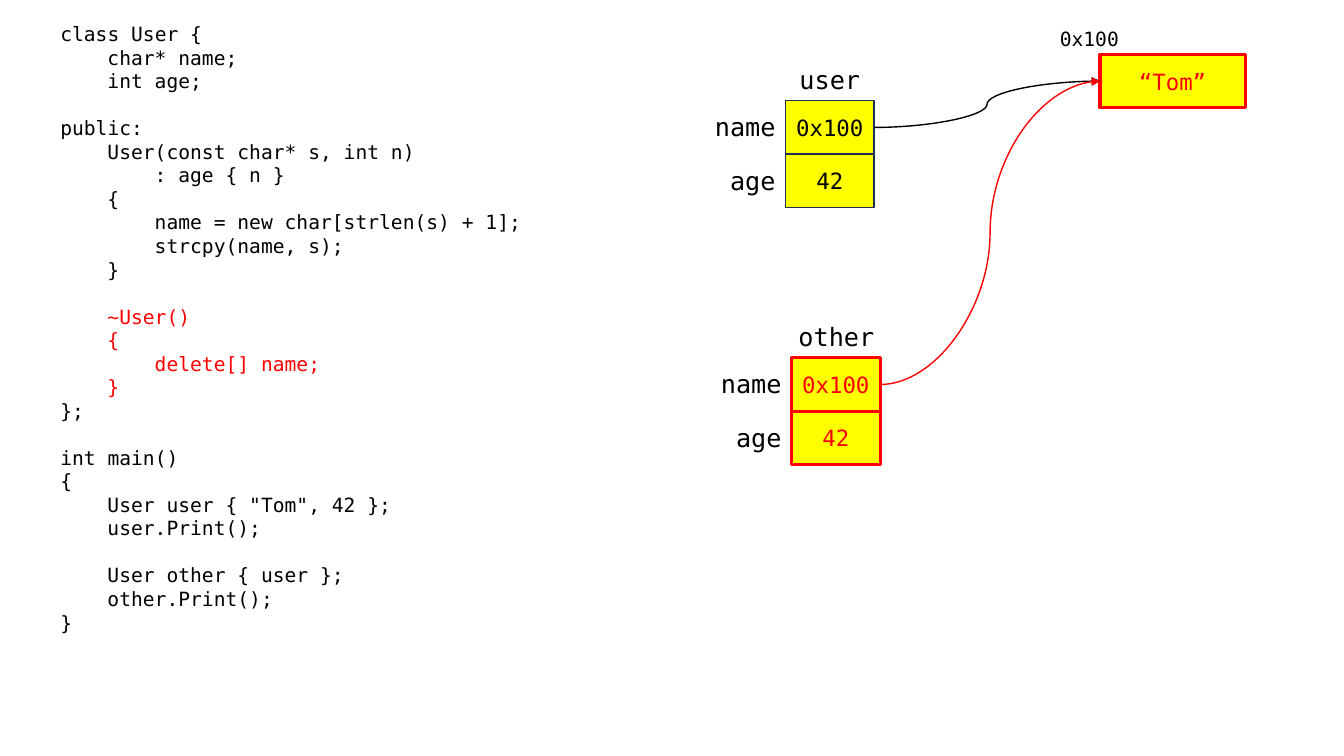
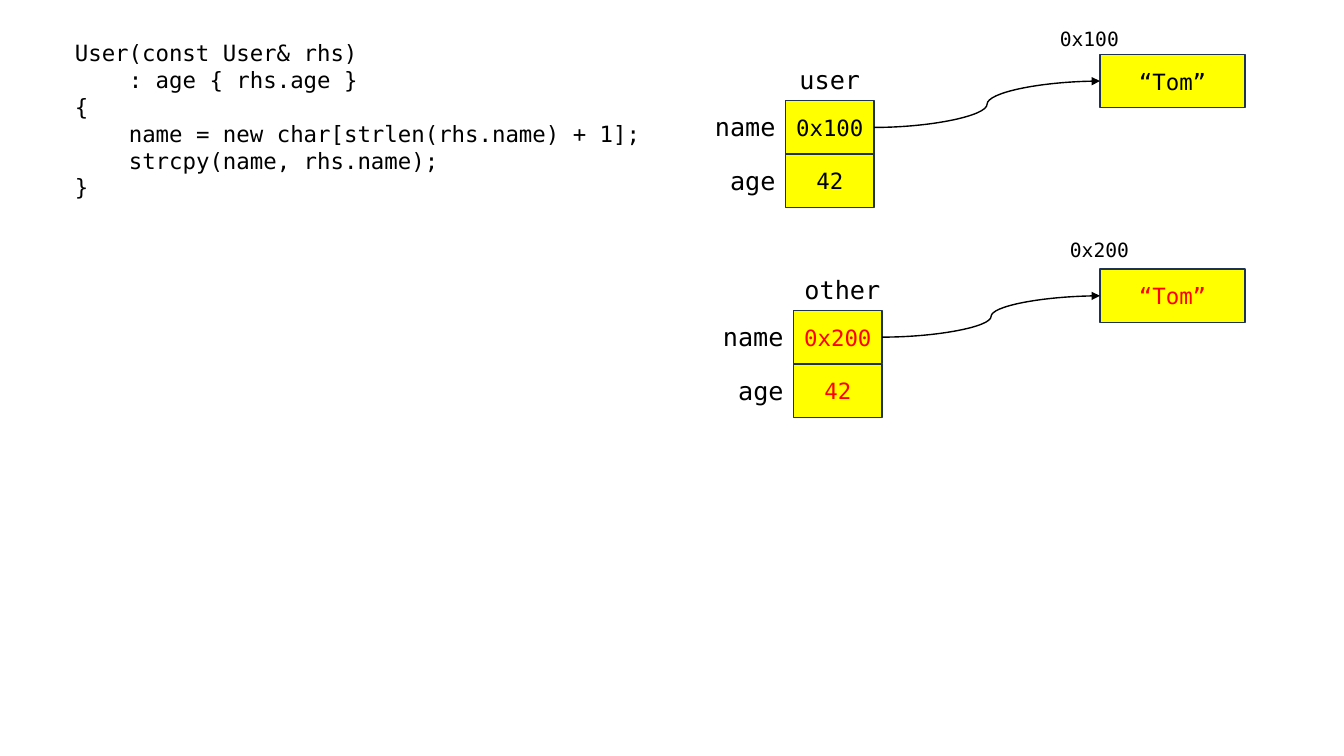
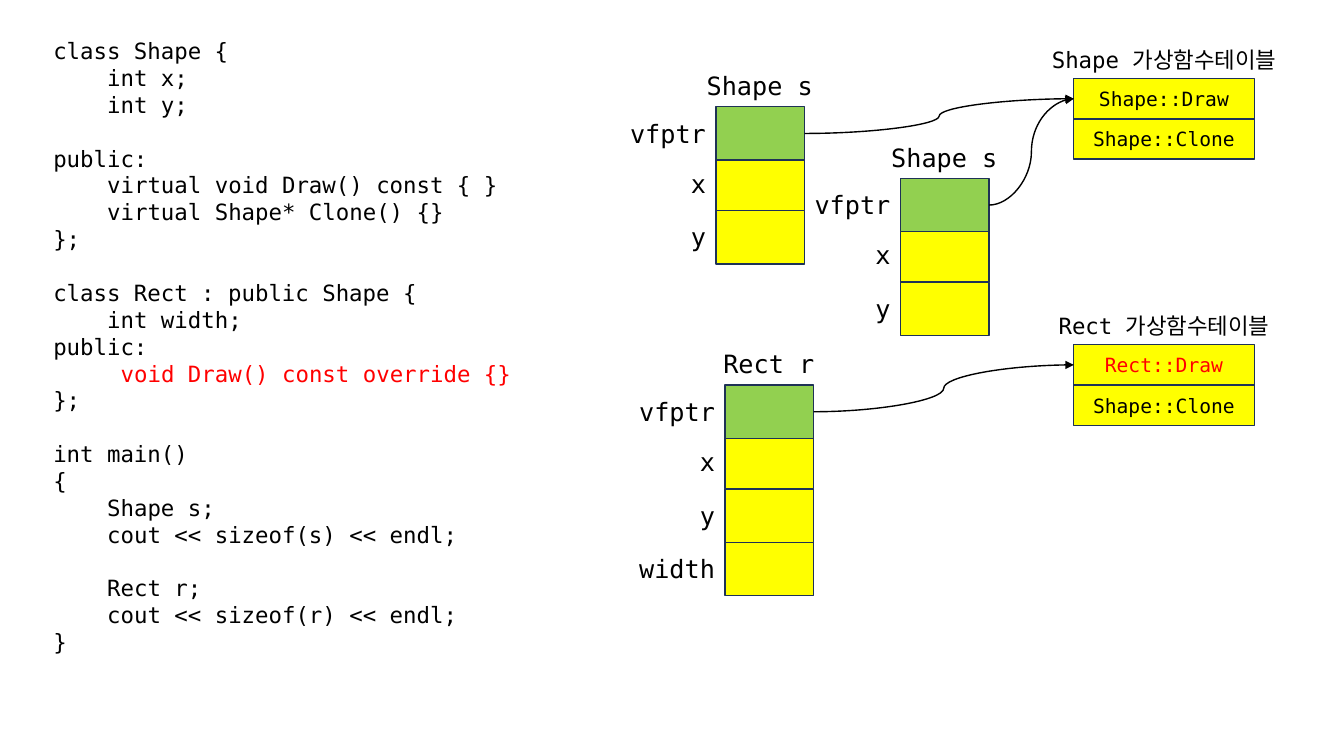
from dataclasses import dataclass
from typing import Optional

from lxml.etree import SubElement
from pptx import Presentation
from pptx.dml.color import RGBColor
from pptx.enum.shapes import MSO_CONNECTOR, MSO_SHAPE
from pptx.enum.text import MSO_ANCHOR, MSO_AUTO_SIZE, PP_ALIGN
from pptx.oxml.ns import qn
from pptx.shapes.autoshape import Shape
from pptx.slide import Slide
from pptx.util import Inches, Pt


@dataclass(frozen=True)
class Theme:
    """Colours, type sizes and line widths shared by the slides."""
    font: str = "DejaVu Sans Mono"
    black: RGBColor = RGBColor(0, 0, 0)
    red: RGBColor = RGBColor(255, 0, 0)
    yellow: RGBColor = RGBColor(255, 255, 0)
    green: RGBColor = RGBColor(0x92, 0xD0, 0x50)
    navy: RGBColor = RGBColor(0x1E, 0x32, 0x56)
    small: int = 14
    medium: int = 16
    large: int = 18
    thin: float = 1
    thick: float = 2.25
    character_width: float = 0.602
    line_height: float = 1.2


THEME = Theme()


@dataclass(frozen=True)
class Caption:
    """Text above a stack, placed relative to the stack's top left corner."""
    text: str
    width: float
    shift: float = 0
    rise: float = 0.41
    size: int = THEME.large


@dataclass(frozen=True)
class Cell:
    """One memory cell, with an optional label on its left."""
    text: str = ""
    label: str = ""
    label_width: float = 1.46
    color: RGBColor = THEME.black
    fill: RGBColor = THEME.yellow
    size: int = THEME.medium


@dataclass(frozen=True)
class Stack:
    """A column of memory cells under a caption."""
    caption: Caption
    left: float
    top: float
    cells: tuple[Cell, ...]
    width: float = 0.88
    height: float = 0.53
    first_overlap: float = 0
    outlined: bool = False


@dataclass(frozen=True)
class Snippet:
    """A code listing; highlight holds the numbers of its red lines."""
    left: float
    top: float
    width: float
    height: float
    size: int
    code: str
    highlight: range = range(0)


def add_span(para, text: str, size: int, color: RGBColor) -> None:
    """Add one formatted run to a paragraph."""
    span = para.add_run()
    span.text = text
    span.font.name = THEME.font
    span.font.size = Pt(size)
    span.font.color.rgb = color
    SubElement(span.font._element, qn("a:ea"), typeface=THEME.font)


def add_text_box(page: Slide, left: float, top: float, width: float, height: float) -> Shape:
    """Add an empty wrapping text box that grows with its text."""
    box = page.shapes.add_textbox(Inches(left), Inches(top), Inches(width), Inches(height))
    box.text_frame.word_wrap = True
    box.text_frame.auto_size = MSO_AUTO_SIZE.SHAPE_TO_FIT_TEXT
    return box


def add_label(page: Slide, text: str, left: float, top: float, width: float,
              size: int, align: PP_ALIGN) -> None:
    """Add a one-line black label."""
    box = add_text_box(page, left, top, width, 0.1 + size / 60)
    para = box.text_frame.paragraphs[0]
    para.alignment = align
    add_span(para, text, size, THEME.black)


def add_snippet(page: Slide, snippet: Snippet) -> None:
    """Draw code, turning leading spaces into indents and blank lines into spacing."""
    box = add_text_box(page, snippet.left, snippet.top, snippet.width, snippet.height)
    line_height = snippet.size * THEME.line_height
    para = box.text_frame.paragraphs[0]
    gap = 0
    for number, line in enumerate(snippet.code.strip("\n").split("\n")):
        text = line.lstrip()
        if not text:
            gap += line_height
            continue
        if number:
            para = box.text_frame.add_paragraph()
        indent = (len(line) - len(text)) * snippet.size * THEME.character_width
        para._p.get_or_add_pPr().set("marL", str(Pt(indent)))
        para.line_spacing = Pt(line_height)
        para.space_before = Pt(gap)
        gap = 0
        color = THEME.red if number in snippet.highlight else THEME.black
        add_span(para, text, snippet.size, color)


def add_cell(page: Slide, stack: Stack, cell: Cell, top: float) -> Shape:
    """Draw one cell of a stack and its label."""
    box = page.shapes.add_shape(MSO_SHAPE.RECTANGLE, Inches(stack.left), Inches(top),
                                Inches(stack.width), Inches(stack.height))
    box.shadow.inherit = False
    box.fill.solid()
    box.fill.fore_color.rgb = cell.fill
    box.line.color.rgb = THEME.red if stack.outlined else THEME.navy
    box.line.width = Pt(THEME.thick if stack.outlined else THEME.thin)
    frame = box.text_frame
    frame.margin_left = frame.margin_right = 0
    frame.vertical_anchor = MSO_ANCHOR.MIDDLE
    if cell.text:
        para = frame.paragraphs[0]
        para.alignment = PP_ALIGN.CENTER
        add_span(para, cell.text, cell.size, cell.color)
    if cell.label:
        add_label(page, cell.label, stack.left - cell.label_width, top + 0.06,
                  cell.label_width, THEME.large, PP_ALIGN.RIGHT)
    return box


def add_stack(page: Slide, stack: Stack) -> Shape:
    """Draw a stack from the bottom up and return its top cell."""
    caption = stack.caption
    add_label(page, caption.text, stack.left + caption.shift, stack.top - caption.rise,
              caption.width, caption.size, PP_ALIGN.CENTER)
    for row in reversed(range(len(stack.cells))):
        overlap = stack.first_overlap if row else 0
        box = add_cell(page, stack, stack.cells[row], stack.top + row * stack.height - overlap)
    return box


def add_pointer(page: Slide, source: Shape, target: Shape,
                color: RGBColor = THEME.black) -> None:
    """Join the right side of source to the left side of target with a curved arrow."""
    arrow = page.shapes.add_connector(MSO_CONNECTOR.CURVE, 0, 0, 0, 0)
    arrow.begin_connect(source, 3)
    arrow.end_connect(target, 1)
    arrow.line.color.rgb = color
    arrow.line.width = Pt(THEME.thin)
    SubElement(arrow.line._get_or_add_ln(), qn("a:tailEnd"), type="triangle")
    SubElement(arrow._element.spPr, qn("a:effectLst"))


def user_stack(caption: Caption, left: float, top: float, address: str,
               color: RGBColor = THEME.black, outlined: bool = False) -> Stack:
    """Describe a User object."""
    cells = (Cell(address, "name", 0.87, color), Cell("42", "age", 0.79, color))
    return Stack(caption, left, top, cells, outlined=outlined)


def string_stack(address: Caption, top: float, color: RGBColor = THEME.black,
                 outlined: bool = False) -> Stack:
    """Describe a string on the heap."""
    return Stack(address, 10.91, top, (Cell("“Tom”", color=color),), width=1.44,
                 outlined=outlined)


def polymorphic_stack(name: str, left: float, top: float, *fields: str) -> Stack:
    """Describe an object that starts with a virtual table pointer."""
    cells = (Cell(label="vfptr", fill=THEME.green),
             *(Cell(label=field) for field in fields))
    return Stack(Caption(name, 1.95, -0.54), left, top, cells, first_overlap=0.03)


def virtual_table(name: str, top: float, draw_color: RGBColor = THEME.black) -> Stack:
    """Describe the virtual function table of a class."""
    cells = (Cell(f"{name}::Draw", color=draw_color, size=THEME.small),
             Cell("Shape::Clone", size=THEME.small))
    caption = Caption(f"{name} 가상함수테이블", 2.93, -0.57, 0.37, THEME.medium)
    return Stack(caption, 10.65, top, cells, width=1.79, height=0.4)


USER_CLASS = Snippet(0.5, 0.17, 5.04, 6.23, THEME.small, """
class User {
    char* name;
    int age;

public:
    User(const char* s, int n)
        : age { n }
    {
        name = new char[strlen(s) + 1];
        strcpy(name, s);
    }

    ~User()
    {
        delete[] name;
    }
};

int main()
{
    User user { "Tom", 42 };
    user.Print();

    User other { user };
    other.Print();
}
""", range(12, 16))

COPY_CONSTRUCTOR = Snippet(0.11, 0.34, 6.67, 1.72, THEME.medium, """
    User(const User& rhs)
        : age { rhs.age }
    {
        name = new char[strlen(rhs.name) + 1];
        strcpy(name, rhs.name);
    }
""")

SHAPE_CLASSES = Snippet(0.43, 0.32, 5.45, 6.29, THEME.medium, """
class Shape {
    int x;
    int y;

public:
    virtual void Draw() const { }
    virtual Shape* Clone() {}
};

class Rect : public Shape {
    int width;
public:
     void Draw() const override {}
};

int main()
{
    Shape s;
    cout << sizeof(s) << endl;

    Rect r;
    cout << sizeof(r) << endl;
}
""", range(12, 13))

USER = user_stack(Caption("user", 0.88), 7.79, 1, "0x100")
FIRST_ADDRESS = Caption("0x100", 1.07, -0.64, 0.32, THEME.small)
SECOND_ADDRESS = Caption("0x200", 1.07, -0.54, 0.36, THEME.small)


def build_shallow_copy(page: Slide) -> None:
    """Two users point at one string, which is freed twice."""
    add_snippet(page, USER_CLASS)
    user = add_stack(page, USER)
    text = add_stack(page, string_stack(FIRST_ADDRESS, 0.54, THEME.red, outlined=True))
    add_pointer(page, user, text)
    other = add_stack(page, user_stack(Caption("other", 1.11, -0.11), 7.85, 3.55,
                                       "0x100", THEME.red, outlined=True))
    add_pointer(page, other, text, THEME.red)


def build_deep_copy(page: Slide) -> None:
    """Each user points at its own string."""
    user = add_stack(page, USER)
    add_pointer(page, user, add_stack(page, string_stack(FIRST_ADDRESS, 0.54)))
    other = add_stack(page, user_stack(Caption("other", 0.97), 7.87, 3.08,
                                       "0x200", THEME.red))
    add_pointer(page, other, add_stack(page, string_stack(SECOND_ADDRESS, 2.67, THEME.red)))
    add_snippet(page, COPY_CONSTRUCTOR)


def build_virtual_tables(page: Slide) -> None:
    """Objects point at the virtual function table of their class."""
    add_snippet(page, SHAPE_CLASSES)
    shape_table = add_stack(page, virtual_table("Shape", 0.78))
    rect_table = add_stack(page, virtual_table("Rect", 3.42, THEME.red))
    for stack, table in (
        (polymorphic_stack("Shape s", 7.1, 1.06, "x", "y"), shape_table),
        (polymorphic_stack("Rect r", 7.19, 3.82, "x", "y", "width"), rect_table),
        (polymorphic_stack("Shape s", 8.93, 1.77, "x", "y"), shape_table),
    ):
        add_pointer(page, add_stack(page, stack), table)


def main() -> None:
    """Build and save the deck."""
    deck = Presentation()
    deck.slide_width, deck.slide_height = Inches(13.33), Inches(7.5)
    blank_layout = deck.slide_layouts.get_by_name("Blank")
    for build in (build_shallow_copy, build_deep_copy, build_virtual_tables):
        build(deck.slides.add_slide(blank_layout))
    deck.save("out.pptx")


main()
